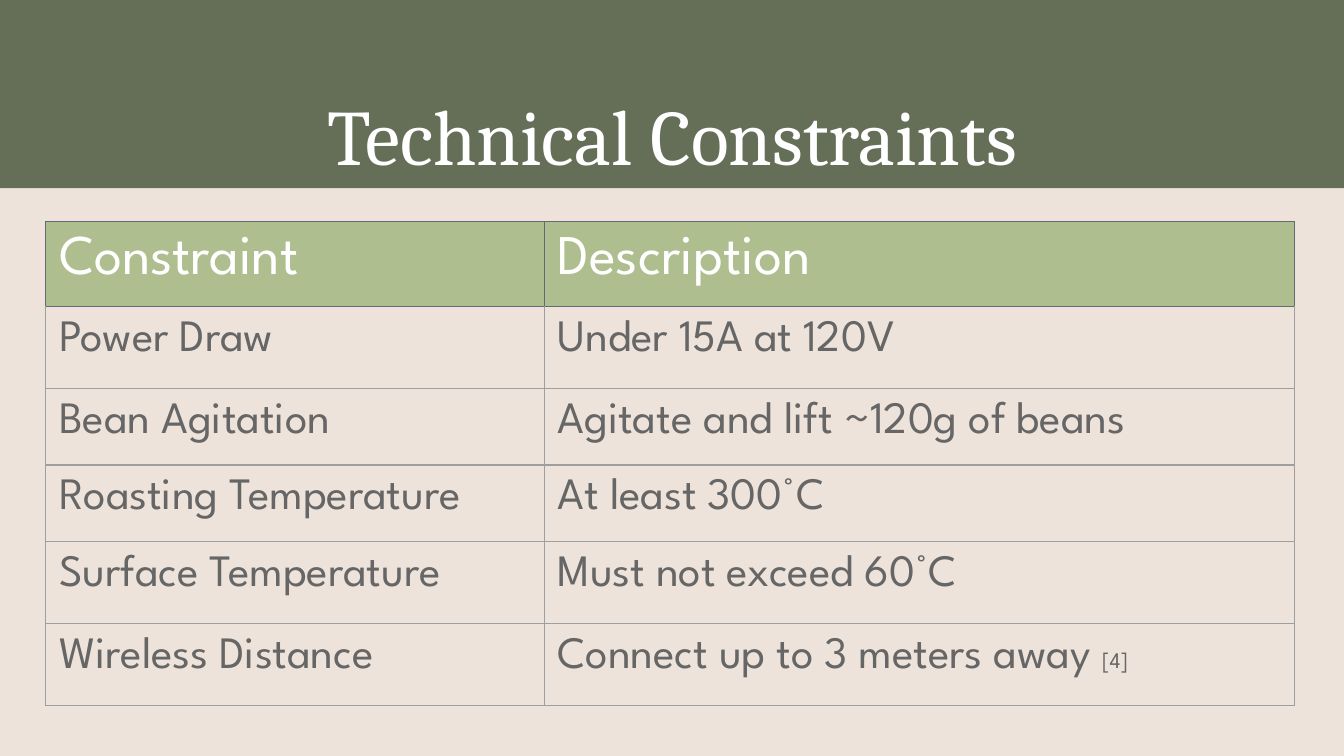
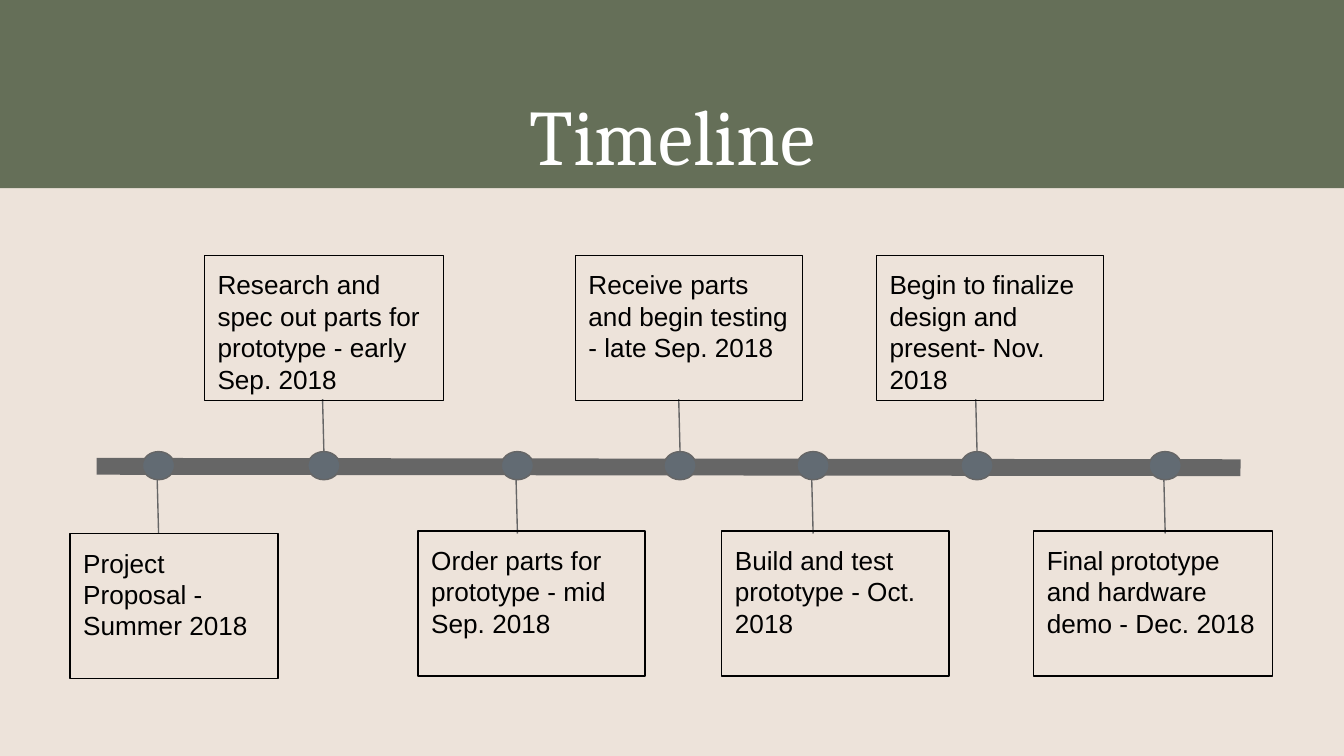
from dataclasses import dataclass

import lxml.etree
import pptx
import pptx.dml.color
import pptx.enum.shapes
import pptx.enum.text
import pptx.oxml.ns
import pptx.util

Inches = pptx.util.Inches
Pt = pptx.util.Pt
SHAPES = pptx.enum.shapes.MSO_SHAPE
qn = pptx.oxml.ns.qn


@dataclass(frozen=True)
class Theme:
    background: str = "EDE3DA"
    band: str = "656F58"
    header: str = "AFBE8F"
    slate: str = "626B73"
    gray: str = "666666"
    rule: str = "9E9E9E"
    white: str = "FFFFFF"
    black: str = "000000"
    title_font: str = "Cambria"
    table_font: str = "League Spartan"
    event_font: str = "Arial"
    title_size: int = 42
    header_size: int = 30
    body_size: int = 24
    citation_size: int = 12
    event_size: int = 14
    hairline: float = 0.75
    axis_width: int = 9


theme = Theme()
rgb = pptx.dml.color.RGBColor.from_string


def style_text(para, name, size, color):
    for span in para.runs:
        span.font.name = name
        span.font.size = Pt(size)
        span.font.color.rgb = rgb(color)


def draw_line(page, start, end, width):
    line = page.shapes.add_connector(
        pptx.enum.shapes.MSO_CONNECTOR.STRAIGHT,
        *(Inches(value) for value in (*start, *end)))
    line.line.color.rgb = rgb(theme.gray)
    line.line.width = Pt(width)
    properties = line._element.spPr
    lxml.etree.SubElement(properties, qn("a:effectLst"))


deck = pptx.Presentation()
deck.slide_width = Inches(10)
deck.slide_height = deck.slide_width * 9 // 16

pages = []
for title in ("Technical Constraints", "Timeline"):
    page = deck.slides.add_slide(deck.slide_layouts[6])
    page.background.fill.solid()
    page.background.fill.fore_color.rgb = rgb(theme.background)
    band = page.shapes.add_shape(SHAPES.RECTANGLE, 0, 0, deck.slide_width, Inches(1.4))
    band.shadow.inherit = False
    band.fill.solid()
    band.fill.fore_color.rgb = rgb(theme.band)
    band.line.fill.background()
    box = page.shapes.add_textbox(Inches(0.34), Inches(0.55), Inches(9.32), Inches(0.68))
    frame = box.text_frame
    frame.word_wrap = True
    frame.margin_left = frame.margin_right = Inches(0.1)
    frame.margin_top = frame.margin_bottom = Inches(0.1)
    frame.text = title
    para = frame.paragraphs[0]
    para.alignment = pptx.enum.text.PP_ALIGN.CENTER
    style_text(para, theme.title_font, theme.title_size, theme.white)
    pages.append(page)

constraints_page, timeline_page = pages

constraints = [
    ("Constraint", "Description"),
    ("Power Draw", "Under 15A at 120V"),
    ("Bean Agitation", "Agitate and lift ~120g of beans"),
    ("Roasting Temperature", "At least 300°C"),
    ("Surface Temperature", "Must not exceed 60°C"),
    ("Wireless Distance", "Connect up to 3 meters away "),
]
column_widths = (3.71, 5.58)
row_heights = (0.63, 0.61, 0.57, 0.57, 0.61, 0.61)

table_frame = constraints_page.shapes.add_table(
    len(row_heights), len(column_widths), Inches(0.34), Inches(1.65),
    Inches(sum(column_widths)), Inches(sum(row_heights)))
table = table_frame.table
table.first_row = table.horz_banding = False
for column, width in zip(table.columns, column_widths):
    column.width = Inches(width)
for row, height in zip(table.rows, row_heights):
    row.height = Inches(height)
table_frame.width = table_frame.height = Inches(3.28)

for row_index, texts in enumerate(constraints):
    is_header = row_index == 0
    for column_index, text in enumerate(texts):
        cell = table.cell(row_index, column_index)
        cell.margin_left = cell.margin_right = cell.margin_top = Inches(0.1)
        cell.margin_bottom = Inches(0.02)
        cell.text_frame.text = text
        style_text(cell.text_frame.paragraphs[0], theme.table_font,
                   theme.header_size if is_header else theme.body_size,
                   theme.white if is_header else theme.gray)
        properties = cell._tc.get_or_add_tcPr()
        for side in ("L", "R", "T", "B"):
            is_dark = is_header or (row_index == 1 and side == "T")
            border = lxml.etree.SubElement(
                properties, qn(f"a:ln{side}"), w=str(Pt(theme.hairline)))
            fill = lxml.etree.SubElement(border, qn("a:solidFill"))
            lxml.etree.SubElement(fill, qn("a:srgbClr"),
                                  val=theme.slate if is_dark else theme.rule)
        if is_header:
            cell.fill.solid()
            cell.fill.fore_color.rgb = rgb(theme.header)
        else:
            cell.fill.background()

para = table.cell(5, 1).text_frame.paragraphs[0]
citation = para.add_run()
citation.text = "[4]"
style_text(para, theme.table_font, theme.body_size, theme.gray)
citation.font.size = Pt(theme.citation_size)

dot_width, dot_height, dot_top = 0.24, 0.21, 3.36
event_height = 1.08
events = [
    (1.06, 0.52, 3.97, 1.55, "Project Proposal - Summer 2018"),
    (2.29, 1.52, 1.9, 1.78, "Research and spec out parts for prototype - early Sep. 2018"),
    (3.73, 3.11, 3.95, 1.69, "Order parts for prototype - mid Sep. 2018"),
    (4.94, 4.28, 1.9, 1.69, "Receive parts and begin testing - late Sep. 2018"),
    (5.93, 5.37, 3.95, 1.69, "Build and test prototype - Oct. 2018"),
    (7.15, 6.52, 1.9, 1.69, "Begin to finalize design and present- Nov. 2018"),
    (8.55, 7.69, 3.95, 1.78, "Final prototype and hardware demo - Dec. 2018"),
]

draw_line(timeline_page, (0.72, 3.47), (9.23, 3.48), theme.axis_width)
for dot_left, left, top, width, text in events:
    dot = timeline_page.shapes.add_shape(
        SHAPES.FLOWCHART_CONNECTOR, Inches(dot_left), Inches(dot_top),
        Inches(dot_width), Inches(dot_height))
    dot.shadow.inherit = False
    dot.fill.solid()
    dot.fill.fore_color.rgb = rgb(theme.slate)
    dot.line.color.rgb = rgb(theme.gray)
    dot.line.width = Pt(theme.hairline)

    center = dot_left + dot_width / 2
    stem_top, stem_bottom = (2.97, dot_top) if top < dot_top else (dot_top + dot_height, 3.97)
    draw_line(timeline_page, (center - 0.01, stem_top), (center, stem_bottom), theme.hairline)

    box = timeline_page.shapes.add_shape(
        SHAPES.RECTANGLE, Inches(left), Inches(top), Inches(width), Inches(event_height))
    box.shadow.inherit = False
    box.fill.background()
    box.line.color.rgb = rgb(theme.black)
    box.line.width = Pt(theme.hairline)
    frame = box.text_frame
    frame.word_wrap = True
    frame.vertical_anchor = pptx.enum.text.MSO_ANCHOR.TOP
    frame.margin_left = frame.margin_right = Inches(0.1)
    frame.margin_top = frame.margin_bottom = Inches(0.1)
    frame.text = text
    para = frame.paragraphs[0]
    para.alignment = pptx.enum.text.PP_ALIGN.LEFT
    style_text(para, theme.event_font, theme.event_size, theme.black)

deck.save("out.pptx")
